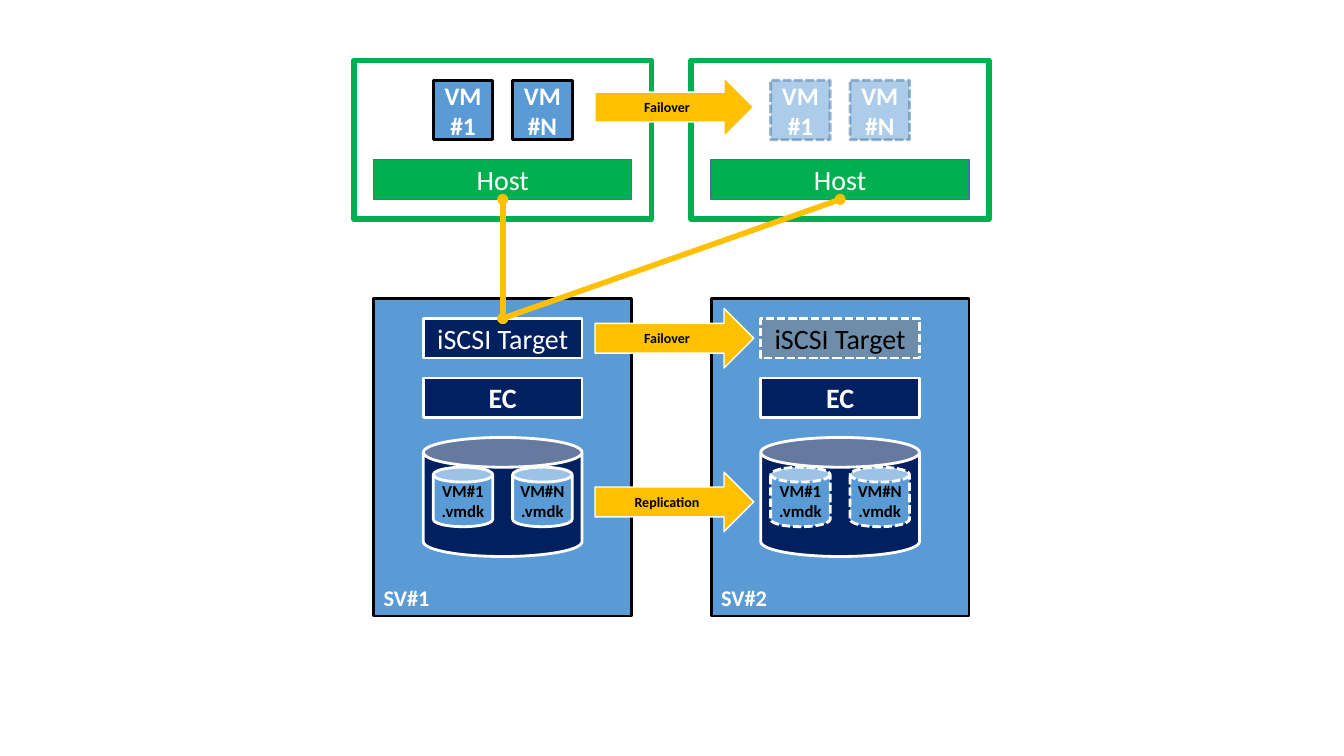
import pptx
import pptx.util
import pptx.dml.color
import pptx.enum.dml
import pptx.enum.shapes
import pptx.enum.text
import pptx.oxml

SHAPE = pptx.enum.shapes.MSO_SHAPE
RECT, CAN, ARROW = SHAPE.RECTANGLE, SHAPE.CAN, SHAPE.RIGHT_ARROW
WHITE, BLACK, GREEN, GOLD = "FFFFFF", "000000", "00B050", "FFC000"
BLUE, NAVY, GRAY, STEEL = "5B9BD5", "002060", "808080", "43739E"

FONT = "Calibri"
CELL = pptx.util.Cm(0.5)
LEFT, TOP = pptx.util.Inches(3.51), pptx.util.Inches(0.6)
SITE_STEP = 17
VM_COLUMNS = {"#1": 4, "#N": 8}
SITES = [
    dict(server="SV#1", standby=False),
    dict(server="SV#2", standby=True),
]
ARROWS = [("Replication", 20.75), ("Failover", 12.5), ("Failover", 0.85)]
ARROW_COLUMN = 12.15


def rgb(color):
    """Turn a hex string into a colour."""
    return pptx.dml.color.RGBColor.from_string(color)


def element(tag, attributes=""):
    """Make an empty DrawingML element."""
    return pptx.oxml.parse_xml(
        f'<a:{tag} {pptx.oxml.ns.nsdecls("a")} {attributes}/>')


def paint(fill, color, alpha=100):
    """Apply a solid colour with an opacity in percent."""
    fill.solid()
    fill.fore_color.rgb = rgb(color)
    if alpha < 100:
        node = fill._xPr.find(".//" + pptx.oxml.ns.qn("a:srgbClr"))
        node.append(element("alpha", f'val="{alpha * 1000}"'))


def block(s, kind, cells, fill, line, width=2, text="", size=20, color=WHITE,
          bold=False, dashed=False, fill_alpha=100, line_alpha=100, label=False):
    """Draw a shape placed by column, row, width and height in cells."""
    x, y, w, h = (int(n * CELL) for n in cells)
    sp = s.shapes.add_shape(kind, LEFT + x, TOP + y, w, h)
    sp.shadow.inherit = False
    if fill:
        paint(sp.fill, fill, fill_alpha)
    else:
        sp.fill.background()
    paint(sp.line.fill, line, line_alpha)
    sp.line.width = pptx.util.Pt(width)
    if dashed:
        sp.line.dash_style = pptx.enum.dml.MSO_LINE.SQUARE_DOT
    if text:
        tf = sp.text_frame
        tf.text = text
        tf.word_wrap = label
        anchor, align = pptx.enum.text.MSO_ANCHOR, pptx.enum.text.PP_ALIGN
        tf.vertical_anchor = anchor.BOTTOM if label else anchor.MIDDLE
        for p in tf.paragraphs:
            p.alignment = align.LEFT if label else align.CENTER
            for r in p.runs:
                r.font.name, r.font.size = FONT, pptx.util.Pt(size)
                r.font.bold, r.font.color.rgb = bold, rgb(color)
    return sp


def site(s, column, server, standby):
    """Draw one host above its server; return the host and target boxes."""
    alpha = 50 if standby else 100
    block(s, RECT, (column + 1, 12, 13, 16), BLUE, BLACK,
          text=server, size=16, bold=True, label=True)
    block(s, RECT, (column + 3.5, 16, 8, 2), NAVY, WHITE, text="EC", bold=True)
    target = block(s, RECT, (column + 3.5, 13, 8, 2), GRAY if standby else NAVY,
                   WHITE, text="iSCSI Target", color=BLACK if standby else WHITE,
                   dashed=standby, fill_alpha=alpha)
    block(s, RECT, (column, 0, 15, 8), None, GREEN, 4)
    host = block(s, RECT, (column + 1, 5, 13, 2), GREEN, STEEL, 1, "Host")
    block(s, CAN, (column + 3.5, 19, 8, 6), NAVY, WHITE)
    for vm, offset in VM_COLUMNS.items():
        block(s, RECT, (column + offset, 1, 3, 3), BLUE, STEEL if standby else BLACK,
              text=f"VM\n{vm}", size=18, bold=True, dashed=standby,
              fill_alpha=alpha, line_alpha=alpha)
        block(s, CAN, (column + offset, 20.5, 3, 3), BLUE, WHITE,
              text=f"VM{vm}\n.vmdk", size=12, color=BLACK, bold=True, dashed=standby)
    return host, target


def link(s, host, target):
    """Join a host to a target with a line that has small round ends."""
    c = s.shapes.add_connector(pptx.enum.shapes.MSO_CONNECTOR.STRAIGHT, 0, 0, 0, 0)
    c.begin_connect(host, 2)
    c.end_connect(target, 0)
    paint(c.line.fill, GOLD)
    c.line.width = pptx.util.Pt(4)
    for end in ("headEnd", "tailEnd"):
        c.line._ln.append(element(end, 'type="oval" w="sm" len="sm"'))
    c._element.spPr.append(element("effectLst"))


def main():
    """Build the failover diagram."""
    prs = pptx.Presentation()
    prs.slide_width, prs.slide_height = pptx.util.Inches(13.33), pptx.util.Inches(7.5)
    s = prs.slides.add_slide(prs.slide_layouts[6])
    pairs = [site(s, i * SITE_STEP, **row) for i, row in enumerate(SITES)]
    active_target = pairs[0][1]
    for host, _ in pairs:
        link(s, host, active_target)
    for text, row in ARROWS:
        block(s, ARROW, (ARROW_COLUMN, row, 8, 3), GOLD, WHITE, 1,
              text, 10, BLACK, bold=True)
    prs.save("out.pptx")


if __name__ == "__main__":
    main()
